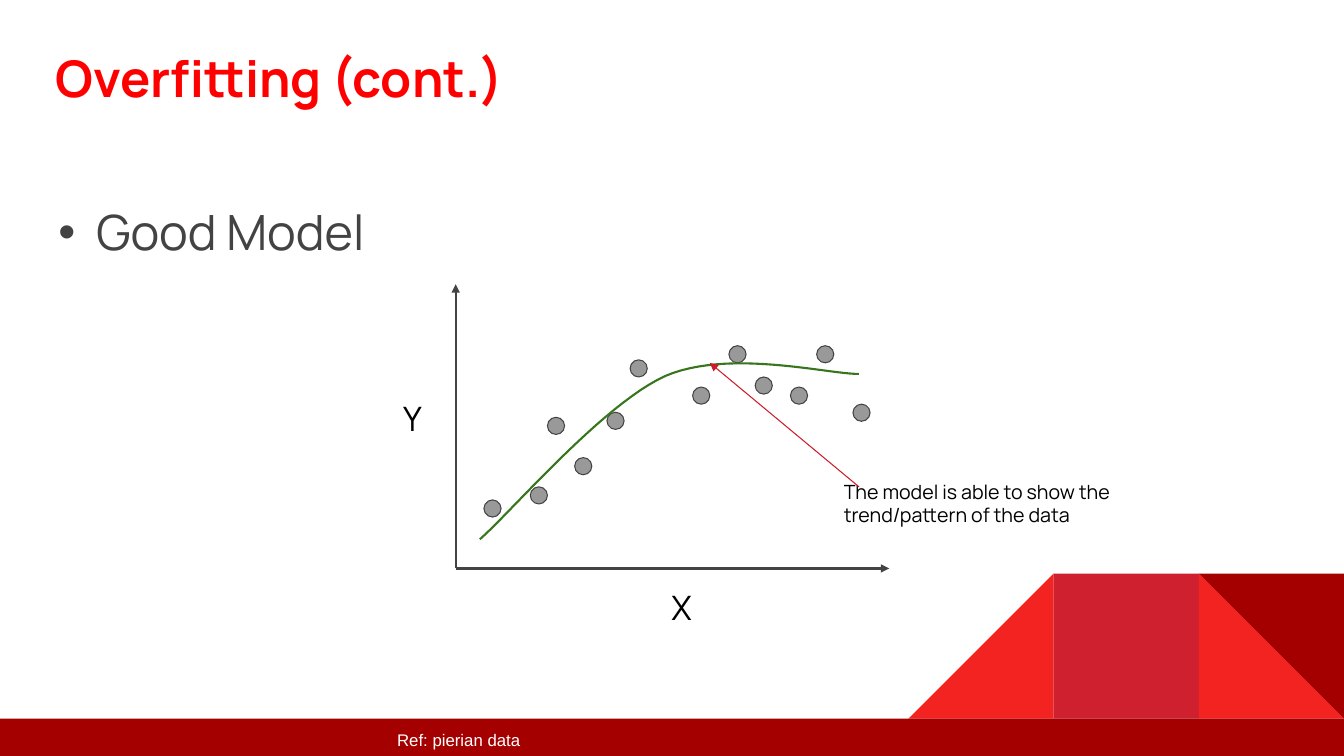
import pptx
import pptx.util
import pptx.dml.color
import pptx.enum.shapes
import pptx.enum.text
import pptx.oxml.ns
from lxml import etree

Inches = pptx.util.Inches
Pt = pptx.util.Pt
Shapes = pptx.enum.shapes.MSO_SHAPE
Align = pptx.enum.text.PP_ALIGN

COLORS = {
    "title": "FF0000", "grey": "434343", "black": "000000", "white": "FFFFFF",
    "bright": "F32321", "crimson": "CE202F", "dark": "A50000",
    "dot": "999999", "curve": "38761D", "pointer": "CE1B2A",
}
FONT = "Manrope"
DOT_SIZE = 0.17
ORIGIN = (4.52, 5.64)
DOTS = [
    (4.8, 4.96), (5.26, 4.83), (5.43, 4.14), (5.7, 4.54), (6.02, 4.09), (6.25, 3.57),
    (6.87, 3.84), (7.23, 3.43), (7.49, 3.74), (7.84, 3.84), (8.1, 3.43), (8.46, 4.01),
]
TREND = [
    [(4.76, 5.35), (5.07, 5.08), (5.98, 4.01), (6.6, 3.73)],
    [(6.6, 3.73), (7.23, 3.46), (8.2, 3.71), (8.52, 3.71)],
]
CURVE_STEPS = 24


def rgb(name):
    return pptx.dml.color.RGBColor.from_string(COLORS[name])


def set_line(line, color, width):
    line.color.rgb = rgb(color)
    line.width = Pt(width)


def add_block(page, kind, left, top, width, height, fill, rotation=0):
    block = page.shapes.add_shape(kind, Inches(left), Inches(top), Inches(width), Inches(height))
    block.shadow.inherit = False
    block.fill.solid()
    block.fill.fore_color.rgb = rgb(fill)
    block.line.fill.background()
    block.rotation = rotation
    return block


def add_arrow(page, start, end, color, width):
    """Draw a straight line with a triangular head at its end."""
    arrow = page.shapes.add_connector(
        pptx.enum.shapes.MSO_CONNECTOR.STRAIGHT, *(Inches(value) for value in (*start, *end)))
    set_line(arrow.line, color, width)
    head = etree.SubElement(arrow.line._get_or_add_ln(), pptx.oxml.ns.qn("a:tailEnd"))
    head.set("type", "triangle")
    etree.SubElement(arrow._element.spPr, pptx.oxml.ns.qn("a:effectLst"))


def write(box, text, size, color, font=FONT, inset=None, align=Align.LEFT):
    """Fill a box with one top-anchored paragraph and return that paragraph."""
    frame = box.text_frame
    frame.word_wrap = True
    frame.auto_size = pptx.enum.text.MSO_AUTO_SIZE.NONE
    frame.vertical_anchor = pptx.enum.text.MSO_ANCHOR.TOP
    if inset is not None:
        frame.margin_left = frame.margin_right = Inches(inset)
        frame.margin_top = frame.margin_bottom = Inches(inset)
    frame.text = text
    para = frame.paragraphs[0]
    para.alignment = align
    para.space_before = Pt(0)
    para.font.size = Pt(size)
    para.font.name = font
    para.font.color.rgb = rgb(color)
    return para


def place(box, left, top, width, height):
    box.left, box.top = Inches(left), Inches(top)
    box.width, box.height = Inches(width), Inches(height)


def add_label(page, left, top, width, height, *args, **kwargs):
    box = page.shapes.add_textbox(Inches(left), Inches(top), Inches(width), Inches(height))
    write(box, *args, **kwargs)


def add_footer_art(page):
    side, left, top = 1.44, 9.01, 5.69
    tiles = [
        (Shapes.RIGHT_TRIANGLE, 0, "bright", 270),
        (Shapes.RECTANGLE, 1, "crimson", 0),
        (Shapes.RIGHT_TRIANGLE, 2, "bright", 0),
        (Shapes.RIGHT_TRIANGLE, 2, "dark", 180),
    ]
    for kind, column, fill, rotation in tiles:
        add_block(page, kind, left + column * side, top, side, side, fill, rotation)
    add_block(page, Shapes.RECTANGLE, 0, 7.13, 13.33, 0.37, "dark")


def bezier_point(controls, t):
    weights = ((1 - t) ** 3, 3 * t * (1 - t) ** 2, 3 * t ** 2 * (1 - t), t ** 3)
    return tuple(
        Inches(sum(weight * point[axis] for weight, point in zip(weights, controls)))
        for axis in (0, 1))


def add_trend(page):
    points = [
        bezier_point(controls, step / CURVE_STEPS)
        for controls in TREND for step in range(1, CURVE_STEPS + 1)]
    builder = page.shapes.build_freeform(*bezier_point(TREND[0], 0))
    builder.add_line_segments(points, close=False)
    trend = builder.convert_to_shape()
    trend.shadow.inherit = False
    trend.fill.background()
    set_line(trend.line, "curve", 1.5)


def add_plot(page):
    for end in ((4.52, 2.82), (8.82, 5.64)):
        add_arrow(page, ORIGIN, end, "grey", 1.5)
    for left, top in DOTS:
        dot = add_block(page, Shapes.OVAL, left, top, DOT_SIZE, DOT_SIZE, "dot")
        set_line(dot.line, "grey", 0.75)
    add_trend(page)
    for text, left, top in (("Y", 3.62, 3.82), ("X", 6.29, 5.69)):
        add_label(page, left, top, 0.94, 0.65, text, 24, "black", inset=0.13, align=Align.CENTER)


def add_body(body):
    place(body, 0.45, 1.79, 12.42, 4.87)
    para = body.text_frame.paragraphs[0]
    properties = para._p.get_or_add_pPr()
    properties.set("marL", "0")
    properties.set("indent", "0")
    etree.SubElement(properties, pptx.oxml.ns.qn("a:buNone"))
    para = write(body, "Good Model", 34.7, "grey", inset=0.13)
    para.line_spacing = 1.15
    para.space_after = Pt(21.3)


def main():
    deck = pptx.Presentation()
    deck.slide_width, deck.slide_height = Inches(13.33), Inches(7.5)
    page = deck.slides.add_slide(deck.slide_layouts[1])
    add_footer_art(page)
    title = page.shapes.title
    place(title, 0.45, 0.37, 12.42, 0.89)
    write(title, "Overfitting (cont.)", 36, "title", inset=0.1).font.bold = True
    add_body(page.placeholders[1])
    add_plot(page)
    add_label(page, 8.27, 4.71, 3.65, 0.57,
              "The model is able to show the trend/pattern of the data", 14, "black")
    add_arrow(page, (8.52, 4.83), (7.04, 3.6), "pointer", 0.75)
    add_label(page, 3.84, 7.19, 2.01, 0.3, "Ref: pierian data", 12, "white", font="Arial")
    deck.save("out.pptx")


if __name__ == "__main__":
    main()
